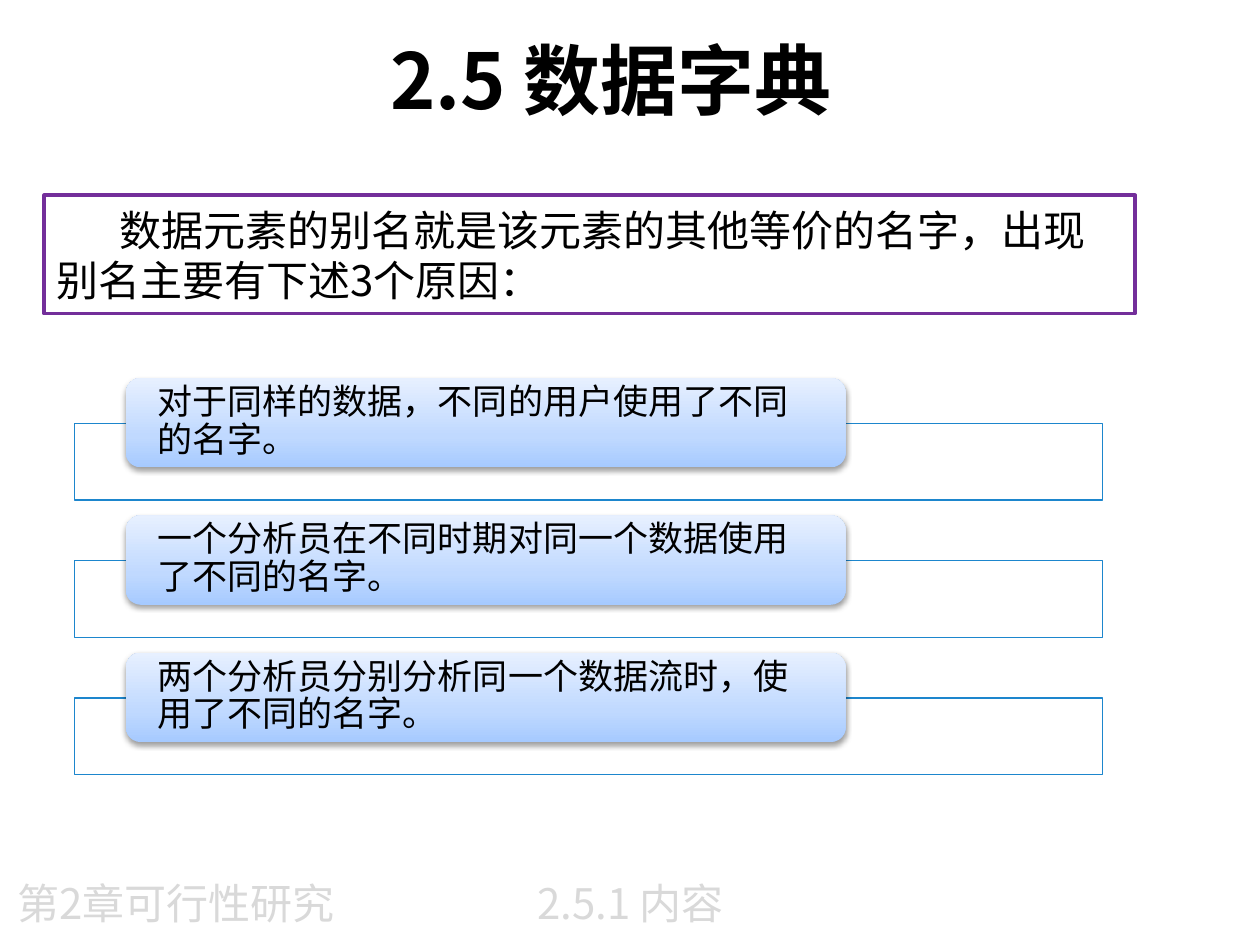
from pptx import Presentation
from pptx import util as u
from pptx.dml.color import RGBColor
from pptx.enum import shapes, text
from pptx.oxml import parse_xml
from pptx.oxml.ns import nsdecls, qn

BLACK = RGBColor(0x00, 0x00, 0x00)
WHITE = RGBColor(0xFF, 0xFF, 0xFF)
PURPLE = RGBColor(0x73, 0x2E, 0x9A)
BLUE = RGBColor(0x1D, 0x86, 0xCD)
PALE_GREY = RGBColor(0xD9, 0xD9, 0xD9)
GRADIENT = (
    (0, RGBColor(0xA6, 0xCA, 0xFF)),
    (35, RGBColor(0xC0, 0xD9, 0xFF)),
    (100, RGBColor(0xE7, 0xF0, 0xFF)),
)
CJK_FONT = "Noto Sans CJK SC"
REASONS = (
    "对于同样的数据，不同的用户使用了不同的名字。",
    "一个分析员在不同时期对同一个数据使用了不同的名字。",
    "两个分析员分别分析同一个数据流时，使用了不同的名字。",
)


def apply_format(target, values):
    """Set every attribute in the dict on the target."""
    for name, value in values.items():
        setattr(target, name, value)


def place(box):
    """Turn a box in inches into lengths."""
    return [u.Inches(value) for value in box]


def write(shape, spans, size, color=BLACK, bold=False, frame=None, paragraph=None):
    """Write one paragraph of (words, font) spans into a shape."""
    apply_format(shape.text_frame, {
        "word_wrap": True,
        "vertical_anchor": text.MSO_ANCHOR.MIDDLE,
        **(frame or {}),
    })
    para = shape.text_frame.paragraphs[0]
    apply_format(para, {"alignment": text.PP_ALIGN.LEFT, **(paragraph or {})})
    for words, font in spans:
        span = para.add_run()
        span.text = words
        apply_format(span.font, {"name": font, "size": u.Pt(size), "bold": bold})
        span.font.color.rgb = color
        east_asian = span.font._element.makeelement(qn("a:ea"), {"typeface": CJK_FONT})
        span.font._element.find(qn("a:latin")).addnext(east_asian)
    return para


def add_label(page, box, spans, size, color=BLACK, bold=False):
    """Add a centred line of text."""
    label = page.shapes.add_textbox(*place(box))
    write(label, spans, size, color, bold, paragraph={"alignment": text.PP_ALIGN.CENTER})


def add_frame(page, box, line_color, line_width):
    """Add a white rectangle with a coloured outline."""
    frame = page.shapes.add_shape(shapes.MSO_SHAPE.RECTANGLE, *place(box))
    frame.shadow.inherit = False
    frame.fill.solid()
    frame.fill.fore_color.rgb = WHITE
    frame.line.color.rgb = line_color
    frame.line.width = u.Pt(line_width)
    return frame


def add_intro(page, box):
    """Add the outlined introduction with a first-line indent."""
    frame = add_frame(page, box, PURPLE, 2)
    words = "数据元素的别名就是该元素的其他等价的名字，出现别名主要有下述3个原因："
    para = write(frame, [(words, CJK_FONT)], 24)
    para._p.get_or_add_pPr().set("indent", str(u.Inches(0.5)))


def add_pill(page, box):
    """Add a rounded box with a vertical gradient and a soft shadow."""
    pill = page.shapes.add_shape(shapes.MSO_SHAPE.ROUNDED_RECTANGLE, *place(box))
    pill.fill.gradient()
    pill.fill.gradient_angle = 90
    stops = pill._element.spPr.find(".//" + qn("a:gsLst"))
    for stop in list(stops):
        stops.remove(stop)
    for position, color in GRADIENT:
        stops.append(parse_xml(
            f'<a:gs {nsdecls("a")} pos="{position * 1000}"><a:srgbClr val="{color}"/></a:gs>'
        ))
    pill.line.fill.background()
    pill.shadow.inherit = False
    pill._element.spPr.find(qn("a:effectLst")).append(parse_xml(
        f'<a:outerShdw {nsdecls("a")} blurRad="{u.Pt(3.1)}" dist="{u.Pt(1.6)}" '
        'dir="5400000" rotWithShape="0"><a:srgbClr val="000000">'
        '<a:alpha val="38000"/></a:srgbClr></a:outerShdw>'
    ))


def add_reason(page, box, words):
    """Add one reason: a wide frame, a pill over its top edge and the text."""
    left, top, width, height = box
    frame = add_frame(page, (left, top + 0.36, width, height - 0.36), BLUE, 0.75)
    frame.fill._xPr.find(".//" + qn("a:srgbClr")).append(
        parse_xml(f'<a:alpha {nsdecls("a")} val="90000"/>')
    )
    add_pill(page, (left + 0.41, top, width * 0.7, 0.71))
    caption = page.shapes.add_textbox(*place((left + 0.44, top + 0.03, width * 0.7 - 0.07, 0.64)))
    insets = {
        "margin_left": u.Inches(0.22),
        "margin_right": u.Inches(0.22),
        "margin_top": 0,
        "margin_bottom": 0,
    }
    write(caption, [(words, "Arial")], 20, frame=insets, paragraph={"line_spacing": 0.9})


def add_reasons(page, box, pitch):
    """Stack the reasons at an equal pitch."""
    left, top, width, height = box
    for row, words in enumerate(REASONS):
        add_reason(page, (left, top + row * pitch, width, height), words)


def add_footer(page, box):
    """Add the chapter and section names along the bottom."""
    left, top, width, height = box
    for offset, span, words in ((0, 3.03, "第2章可行性研究"), (3.16, width - 3.16, "2.5.1 内容")):
        add_label(page, (left + offset, top, span, height), [(words, CJK_FONT)], 24, PALE_GREY)


def main():
    """Build the data dictionary slide."""
    deck = Presentation()
    deck.slide_width, deck.slide_height = u.Inches(10), u.Inches(7.5)
    page = deck.slides.add_slide(deck.slide_layouts[6])
    add_intro(page, (0.35, 1.55, 8.66, 0.94))
    add_reasons(page, (0.59, 3, 8.16, 0.97), 1.09)
    title = [("2.5 ", CJK_FONT), ("数据字典", "Arial")]
    add_label(page, (0.35, 0, 9, 1.25), title, 44, bold=True)
    add_footer(page, (-0.12, 6.9, 7.09, 0.52))
    deck.save("out.pptx")


if __name__ == "__main__":
    main()
